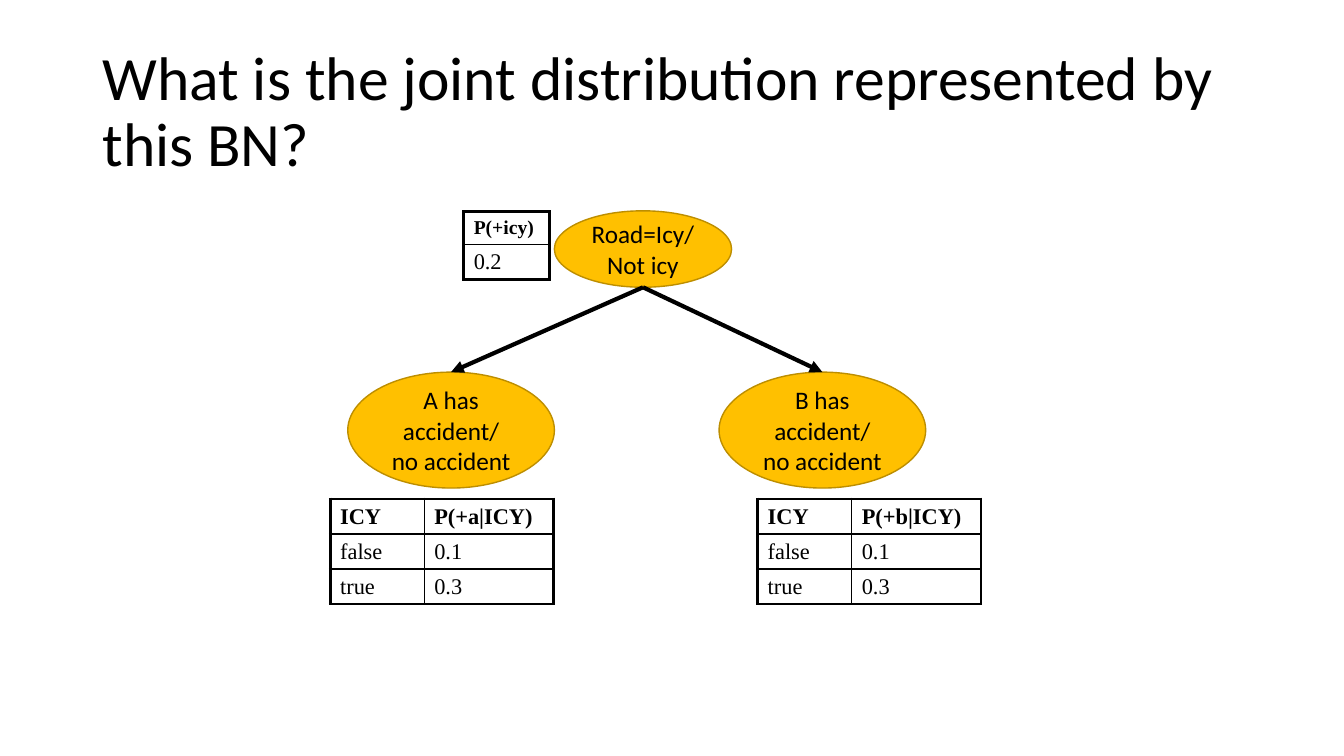
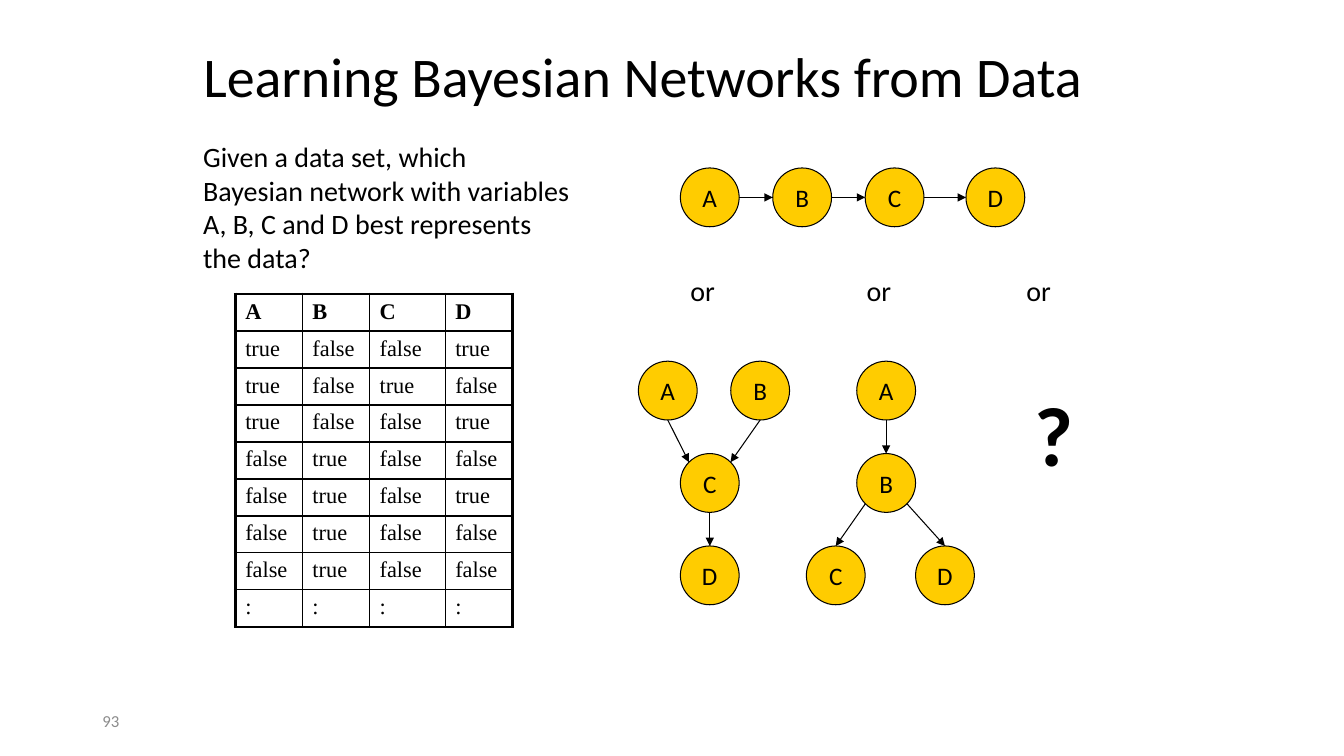
from math import cos, radians, sin

from lxml import etree
from pptx import Presentation
from pptx.dml.color import RGBColor
from pptx.enum.shapes import MSO_CONNECTOR, MSO_SHAPE
from pptx.enum.text import MSO_ANCHOR, MSO_AUTO_SIZE, PP_ALIGN
from pptx.oxml.ns import qn
from pptx.util import Inches, Pt

STRAIGHT = MSO_CONNECTOR.STRAIGHT
ELLIPSE = MSO_SHAPE.OVAL
MIDDLE, TOP_ANCHOR = MSO_ANCHOR.MIDDLE, MSO_ANCHOR.TOP
LEFT_ALIGN, CENTER = PP_ALIGN.LEFT, PP_ALIGN.CENTER
NO_AUTOFIT = MSO_AUTO_SIZE.NONE
TITLE_ONLY = 5

# The slide is a grid of 160 columns by 90 rows; all lengths count cells.
COLUMNS, ROWS = 160, 90
CELL = Inches(7.5) // ROWS

BLACK, GRAY = "000000", "8C8C8C"
AMBER, AMBER_EDGE, YELLOW = "FFC000", "BD8E00", "FFCC00"
SANS, SERIF = "Calibri", "Times New Roman"
OUTER_BORDER, INNER_BORDER = 2.25, 1
NODE_SIZE = 7

# Connection sites of an ellipse, counted anticlockwise from the top
TOP, TOP_LEFT, LEFT, BOTTOM_LEFT, BOTTOM, BOTTOM_RIGHT, RIGHT, TOP_RIGHT = range(8)


def grid(*cells):
    return [round(count * CELL) for count in cells]


def color(hex_string):
    return RGBColor.from_string(hex_string)


def add_run(paragraph, text, size, font=SANS, ink=BLACK, bold=False):
    run = paragraph.add_run()
    run.text = text
    run.font.size = Pt(size)
    run.font.name = font
    run.font.bold = bold
    run.font.color.rgb = color(ink)


def add_titled_slide(prs, title, box, size):
    slide = prs.slides.add_slide(prs.slide_layouts[TITLE_ONLY])
    heading = slide.shapes.title
    heading.left, heading.top, heading.width, heading.height = grid(*box)
    frame = heading.text_frame
    frame.word_wrap = True
    frame.auto_size = NO_AUTOFIT
    frame.vertical_anchor = MIDDLE
    paragraph = frame.paragraphs[0]
    paragraph.alignment = LEFT_ALIGN
    paragraph.line_spacing = 0.9
    add_run(paragraph, title, size)
    return slide


def add_label(slide, text, box, size, ink=BLACK, bold=False, anchor=TOP_ANCHOR):
    frame = slide.shapes.add_textbox(*grid(*box)).text_frame
    frame.word_wrap = True
    frame.vertical_anchor = anchor
    add_run(frame.paragraphs[0], text, size, ink=ink, bold=bold)


def add_node(slide, text, box, fill, edge, edge_width, wrap):
    node = slide.shapes.add_shape(ELLIPSE, *grid(*box))
    node.shadow.inherit = False
    node.fill.solid()
    node.fill.fore_color.rgb = color(fill)
    node.line.color.rgb = color(edge)
    node.line.width = Pt(edge_width)
    frame = node.text_frame
    frame.word_wrap = wrap
    frame.vertical_anchor = MIDDLE
    frame.paragraphs[0].alignment = CENTER
    add_run(frame.paragraphs[0], text, 18)
    return node


def site_point(node, site):
    angle = radians(90 + 45 * site)
    return (round(node.left + node.width / 2 * (1 + cos(angle))),
            round(node.top + node.height / 2 * (1 - sin(angle))))


def add_edge(slide, parent, parent_site, child, child_site, width):
    """Arrow glued to one connection site of each node."""
    edge = slide.shapes.add_connector(
        STRAIGHT, *site_point(parent, parent_site), *site_point(child, child_site))
    edge.line.color.rgb = color(BLACK)
    edge.line.width = Pt(width)
    properties = edge._element.spPr
    etree.SubElement(properties.find(qn("a:ln")), qn("a:tailEnd"), type="triangle")
    etree.SubElement(properties, qn("a:effectLst"))
    glue = edge._element.find(".//" + qn("p:cNvCxnSpPr"))
    for tag, node, site in (("a:stCxn", parent, parent_site),
                            ("a:endCxn", child, child_site)):
        etree.SubElement(glue, qn(tag), id=str(node.shape_id), idx=str(site))


def set_borders(cell, outer_sides):
    """Draw all four borders, heavier on the sides that lie on the table's rim."""
    properties = cell._tc.get_or_add_tcPr()
    for side in "LRTB":
        width = OUTER_BORDER if side in outer_sides else INNER_BORDER
        border = etree.SubElement(properties, qn("a:ln" + side), w=str(Pt(width)))
        fill = etree.SubElement(border, qn("a:solidFill"))
        etree.SubElement(fill, qn("a:srgbClr"), val=BLACK)


def add_probability_table(slide, left, top, widths, rows, header_size=16):
    header_height, body_height = 3.9 if header_size < 16 else 4.1, 4.1
    heights = [header_height] + [body_height] * (len(rows) - 1)
    table = slide.shapes.add_table(
        len(rows), len(widths), *grid(left, top, sum(widths), sum(heights))).table
    table.first_row = table.horz_banding = False
    for column, width in zip(table.columns, grid(*widths)):
        column.width = width
    for row, height in zip(table.rows, grid(*heights)):
        row.height = height
    last_row, last_column = len(rows) - 1, len(widths) - 1
    for r, values in enumerate(rows):
        for c, value in enumerate(values):
            cell = table.cell(r, c)
            rim = {"L": c == 0, "R": c == last_column, "T": r == 0, "B": r == last_row}
            set_borders(cell, [side for side, on_rim in rim.items() if on_rim])
            cell.fill.background()
            add_run(cell.text_frame.paragraphs[0], value,
                    16 if r else header_size, SERIF, bold=r == 0)


def add_network(slide, positions, edges):
    """Small lettered nodes at their left and top cells, joined by thin arrows."""
    nodes = {
        letter: add_node(slide, letter, (left, top, NODE_SIZE, NODE_SIZE),
                         YELLOW, BLACK, 0.75, wrap=False)
        for letter, (left, top) in positions.items()}
    for parent, parent_site, child, child_site in edges:
        add_edge(slide, nodes[parent], parent_site, nodes[child], child_site, 0.75)


def build_joint_distribution(prs):
    slide = add_titled_slide(
        prs, "What is the joint distribution represented by this BN?",
        (11, 4.8, 138, 17.4), 44)
    road = add_node(slide, "Road=Icy/Not icy", (66, 25.1, 21.1, 9.1),
                    AMBER, AMBER_EDGE, 1, wrap=True)
    add_probability_table(slide, 55.2, 25.2, [10.2], [["P(+icy)"], ["0.2"]], 14)
    for driver, node_left, table_left in (("A", 41.4, 39.3), ("B", 85.6, 90.2)):
        accident = add_node(slide, f"{driver} has accident/ no accident",
                            (node_left, 44.3, 24.6, 13.8),
                            AMBER, AMBER_EDGE, 1, wrap=True)
        add_edge(slide, road, BOTTOM, accident, TOP, 3)
        add_probability_table(
            slide, table_left, 59.4, [11.2, 15.4],
            [["ICY", f"P(+{driver.lower()}|ICY)"], ["false", "0.1"], ["true", "0.3"]])


def build_learning(prs):
    slide = add_titled_slide(
        prs, "Learning Bayesian Networks from Data", (23, 2, 114, 15), 40)
    add_label(slide, "93", (11, 83.4, 36, 4.8), 12, ink=GRAY, anchor=MIDDLE)
    add_label(slide, "Given a data set, which Bayesian network with variables "
                     "A, B, C and D best represents the data?",
              (23, 16, 46, 17.4), 20)
    samples = [
        "A B C D",
        "true false false true",
        "true false true false",
        "true false false true",
        "false true false false",
        "false true false true",
        "false true false false",
        "false true false false",
        ": : : :",
    ]
    add_probability_table(slide, 28, 35, [8, 8, 9, 8],
                          [sample.split() for sample in samples])

    add_network(slide, {"A": (81, 20), "B": (92, 20), "C": (103, 20), "D": (115, 20)},
                [(parent, RIGHT, child, LEFT) for parent, child in ("AB", "BC", "CD")])
    upper, middle, lower = (43 + 11 * level for level in range(3))
    add_network(slide, {"A": (76, upper), "B": (87, upper),
                        "C": (81, middle), "D": (81, lower)},
                [("A", BOTTOM, "C", TOP_LEFT),
                 ("B", BOTTOM, "C", TOP_RIGHT),
                 ("C", BOTTOM, "D", TOP)])
    add_network(slide, {"A": (102, upper), "B": (102, middle),
                        "C": (96, lower), "D": (109, lower)},
                [("A", BOTTOM, "B", TOP),
                 ("B", BOTTOM_LEFT, "C", TOP),
                 ("B", BOTTOM_RIGHT, "D", TOP)])
    for left in (81, 102, 121):
        add_label(slide, "or", (left, 32, 6, 5.2), 20)
    add_label(slide, "?", (122, 45, 6, 13.2), 60, bold=True)


def main():
    prs = Presentation()
    prs.slide_width, prs.slide_height = grid(COLUMNS, ROWS)
    build_joint_distribution(prs)
    build_learning(prs)
    prs.save("out.pptx")


if __name__ == "__main__":
    main()
